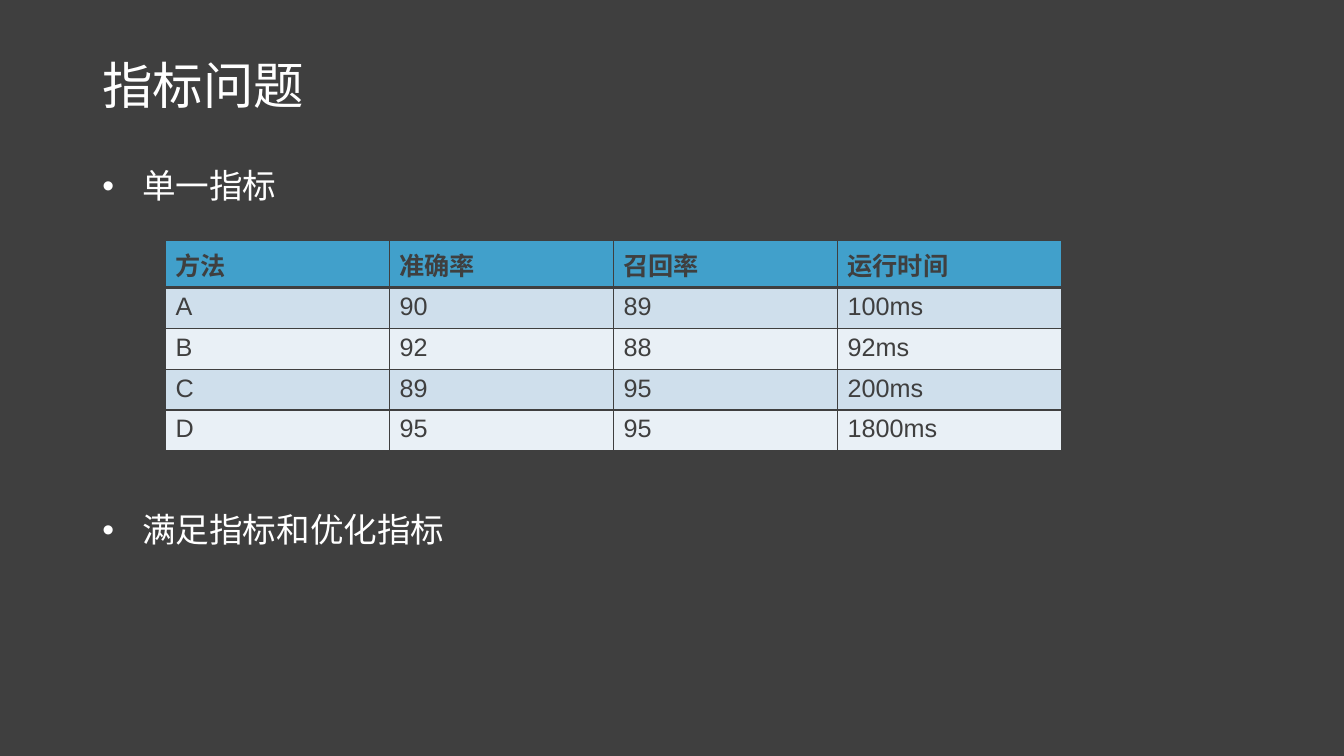
from lxml import etree
from pptx import Presentation
from pptx.dml.color import RGBColor
from pptx.enum import text
from pptx.oxml.ns import qn
from pptx.util import Pt

# Content
HEADING = "指标问题"
POINTS = [("单一指标", 0), ("满足指标和优化指标", 220)]  # wording, space before
METRICS = [
    ("方法", "准确率", "召回率", "运行时间"),
    ("A", "90", "89", "100ms"),
    ("B", "92", "88", "92ms"),
    ("C", "89", "95", "200ms"),
    ("D", "95", "95", "1800ms"),
]

# Format
COLORS = {"dark": "3F3F3F", "light": "FFFFFF", "header": "41A0CB",
          "odd": "CFDFEC", "even": "E9F0F6"}
LEFT, WIDTH = 66, 828
HEADING_BOX = (LEFT, 28.8, WIDTH, 67.7)
POINTS_BOX = (LEFT, 117.4, WIDTH, 369.4)
TABLE_LEFT, TABLE_TOP = 118.2, 172
COLUMN_WIDTH, ROW_HEIGHT = 160, 29.2
INDENT = 28.35


def rgb(name):
    return RGBColor.from_string(COLORS[name])


def place(holder, box, anchor):
    for side, value in zip(("left", "top", "width", "height"), box):
        setattr(holder, side, Pt(value))
    frame = holder.text_frame
    for key, value in {"word_wrap": True, "vertical_anchor": anchor,
                       "auto_size": text.MSO_AUTO_SIZE.NONE}.items():
        setattr(frame, key, value)
    return frame


def style(paragraph, size, color, bold=False):
    font = paragraph.font
    for key, value in {"name": "Arial", "size": Pt(size), "bold": bold}.items():
        setattr(font, key, value)
    font.color.rgb = rgb(color)


def add_borders(cell, bottom):
    properties = cell._tc.get_or_add_tcPr()
    widths = {"lnL": 1, "lnR": 1, "lnT": 1, "lnB": bottom}
    for position, (tag, width) in enumerate(widths.items()):
        line = etree.Element(qn(f"a:{tag}"), w=str(Pt(width)))
        fill = etree.SubElement(line, qn("a:solidFill"))
        etree.SubElement(fill, qn("a:srgbClr"), val=COLORS["dark"])
        properties.insert(position, line)


# Slide
deck = Presentation()
deck.slide_width, deck.slide_height = Pt(960), Pt(540)
slide = deck.slides.add_slide(deck.slide_layouts[1])
slide.background.fill.solid()
slide.background.fill.fore_color.rgb = rgb("dark")

# Title
heading = place(slide.shapes.title, HEADING_BOX, text.MSO_ANCHOR.MIDDLE)
heading.text = HEADING
heading_line = heading.paragraphs[0]
heading_line.alignment = text.PP_ALIGN.LEFT
heading_line.line_spacing = 0.9
style(heading_line, 36, "light")

# Bullets above and below the table
points = place(slide.placeholders[1], POINTS_BOX, text.MSO_ANCHOR.TOP)
points.text = "\n".join(wording for wording, _ in POINTS)
for point, (_, gap) in zip(points.paragraphs, POINTS):
    point.line_spacing = 0.9
    point.space_before = Pt(gap)
    properties = point._p.get_or_add_pPr()
    properties.set("marL", str(Pt(INDENT)))
    properties.set("indent", str(-Pt(INDENT)))
    etree.SubElement(properties, qn("a:buFont"), typeface="Arial")
    etree.SubElement(properties, qn("a:buChar"), char="•")
    style(point, 24, "light")

# Metrics table
rows, columns = len(METRICS), len(METRICS[0])
metrics = slide.shapes.add_table(
    rows, columns, Pt(TABLE_LEFT), Pt(TABLE_TOP),
    Pt(COLUMN_WIDTH * columns), Pt(ROW_HEIGHT * rows)).table
for r, record in enumerate(METRICS):
    is_header = r == 0
    band = "header" if is_header else "odd" if r % 2 else "even"
    for c, value in enumerate(record):
        cell = metrics.cell(r, c)
        cell.text = value
        cell.fill.solid()
        cell.fill.fore_color.rgb = rgb(band)
        style(cell.text_frame.paragraphs[0], 18, "dark", is_header)
        add_borders(cell, 3 if is_header else 1)

deck.save("out.pptx")
